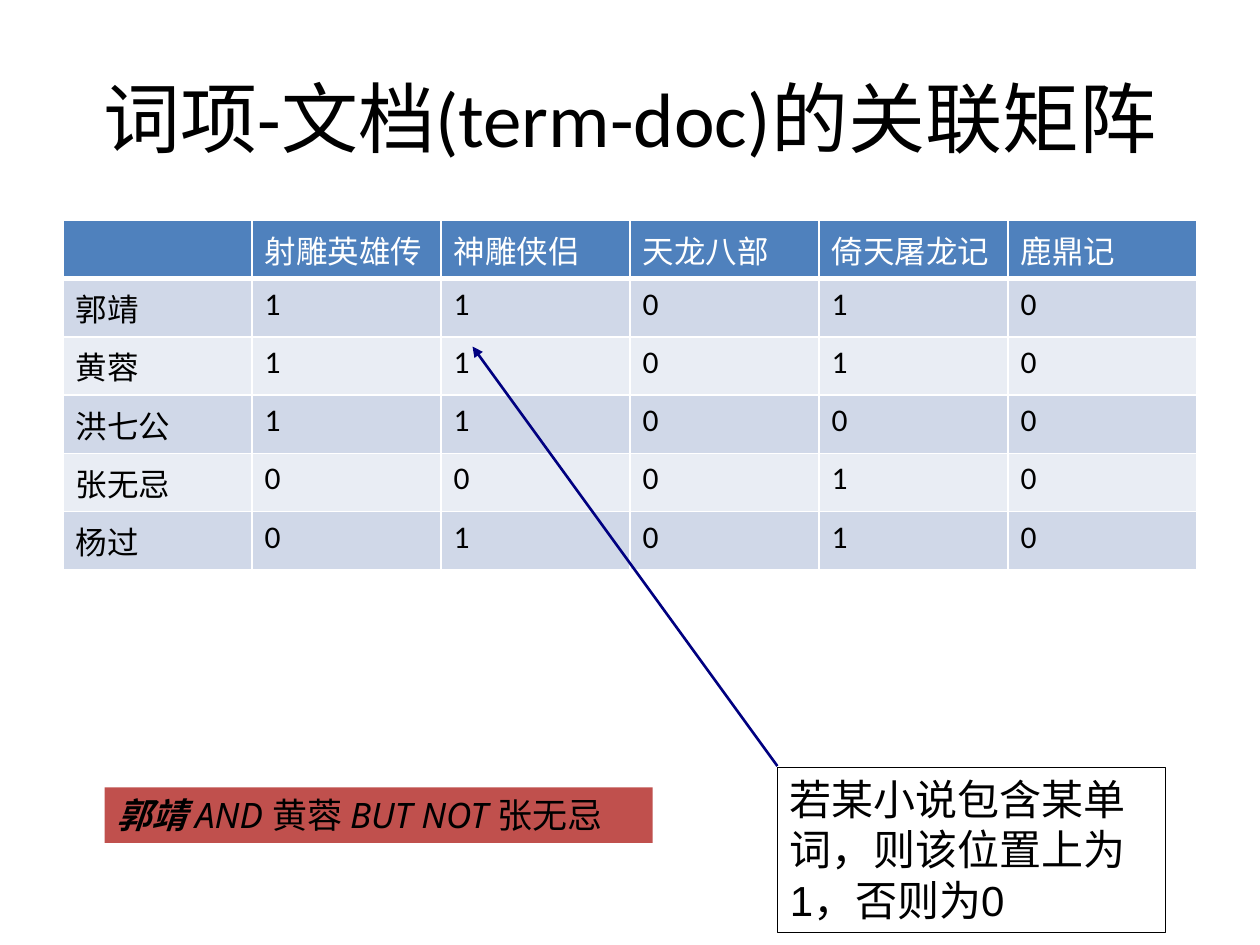
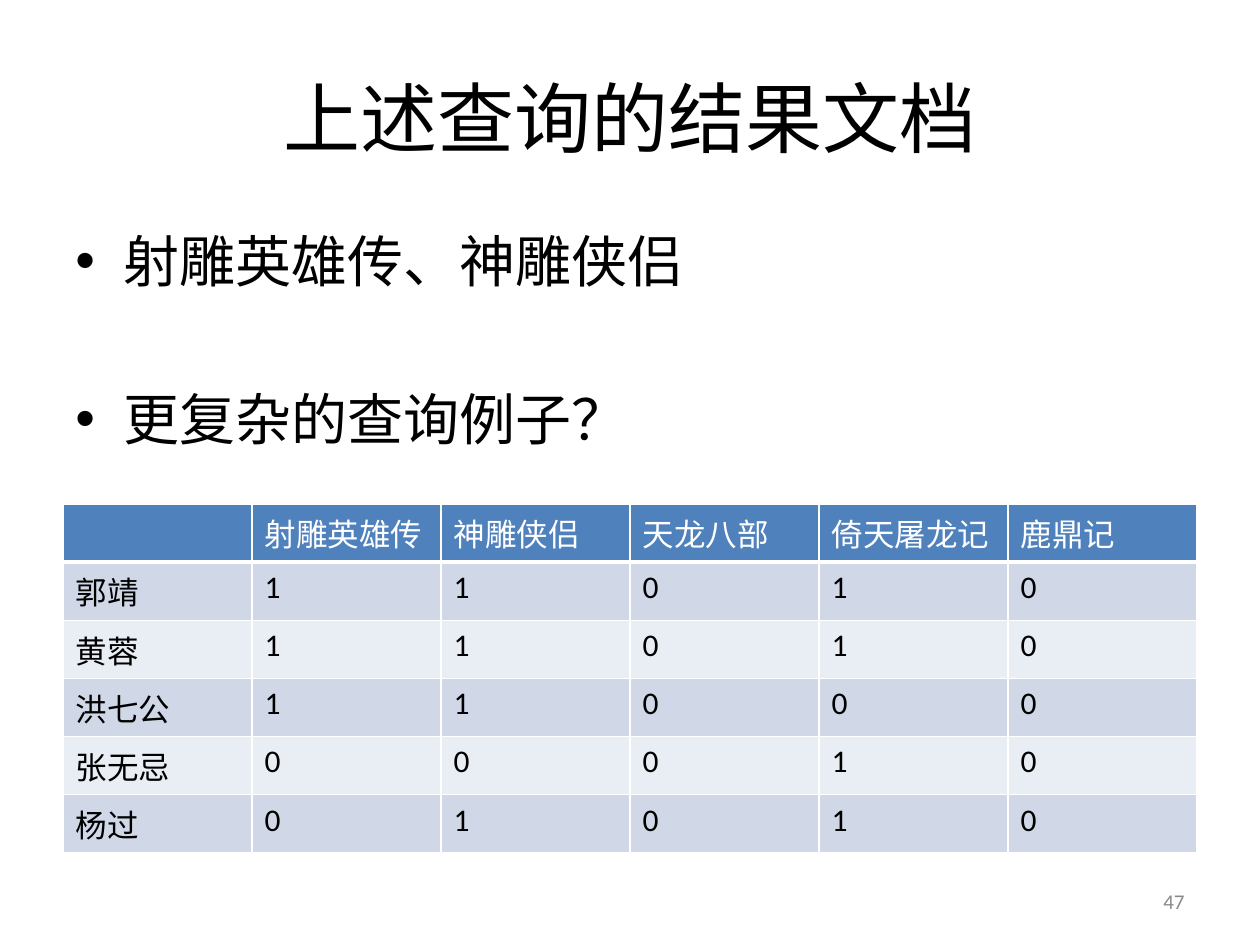
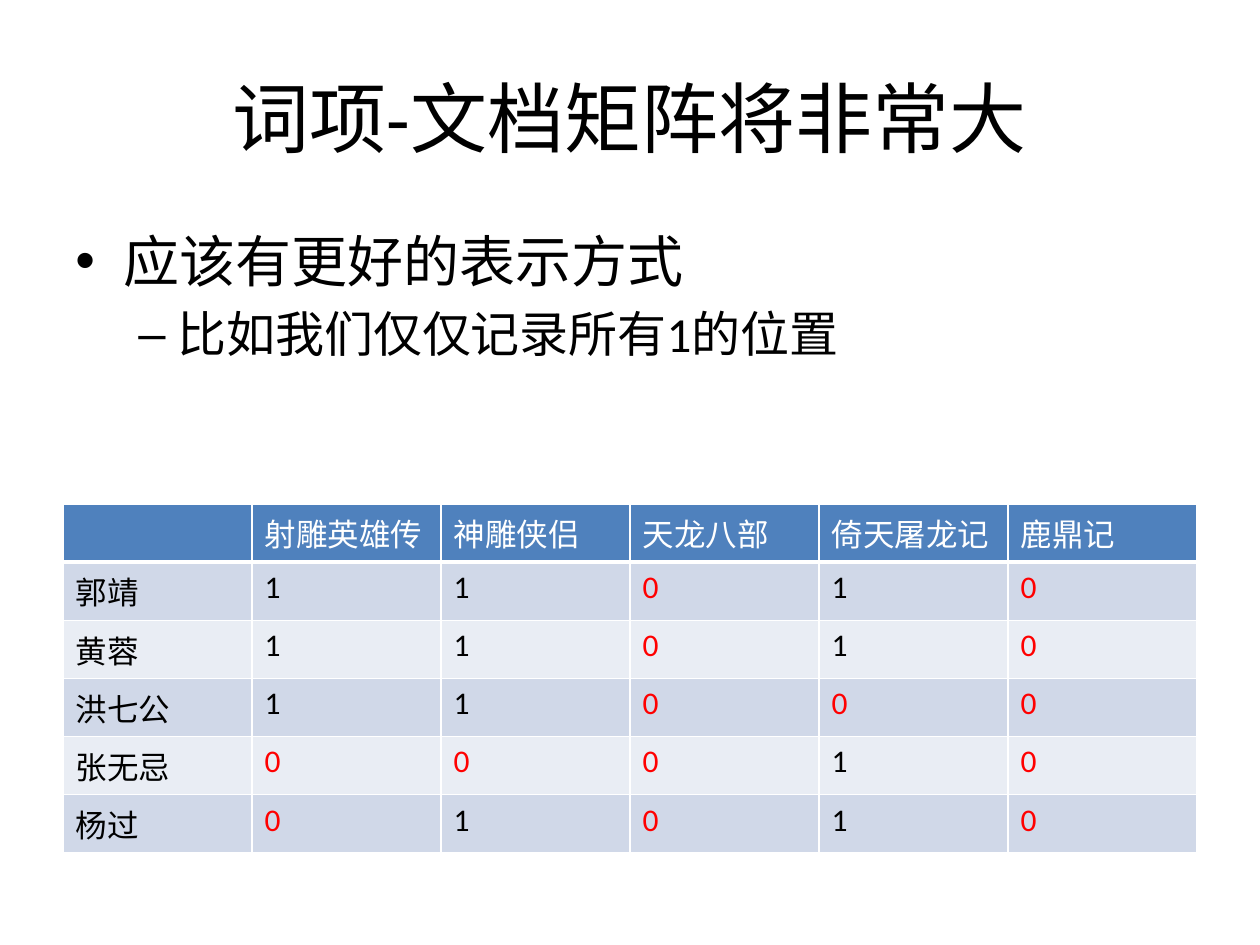
from lxml import etree
from pptx import Presentation
from pptx.dml.color import RGBColor
from pptx.enum.shapes import MSO_CONNECTOR, MSO_SHAPE
from pptx.enum.text import MSO_ANCHOR, MSO_AUTO_SIZE, PP_ALIGN
from pptx.oxml.ns import qn
from pptx.util import Inches, Pt

BLACK = "000000"
WHITE = "FFFFFF"
RED = "FF0000"
GREY = "898989"
NAVY = "000080"
HEADER_BLUE = "4F81BD"
BANDS = ("D0D8E8", "E9EDF4")
QUERY_RED = "C0504D"

NOVELS = ["射雕英雄传", "神雕侠侣", "天龙八部", "倚天屠龙记", "鹿鼎记"]
INCIDENCE = {
    "郭靖": "11010",
    "黄蓉": "11010",
    "洪七公": "11000",
    "张无忌": "00010",
    "杨过": "01010",
}

# Bullet, left margin in inches, hanging indent in inches, size in points
BULLET_LEVELS = [("•", 0.38, 0.38, 32), ("–", 0.81, 0.31, 28)]


def rgb(color):
    return RGBColor.from_string(color)


def set_font(font, size, color=BLACK, name="Calibri"):
    font.size = Pt(size)
    font.name = name
    font.color.rgb = rgb(color)


def add_titled_slide(presentation, text):
    slide = presentation.slides.add_slide(presentation.slide_layouts[5])
    title = slide.shapes.title
    title.left, title.top = Inches(0.5), Inches(0.3)
    title.width, title.height = Inches(9), Inches(1.25)
    frame = title.text_frame
    frame.text = text
    frame.word_wrap = True
    frame.auto_size = MSO_AUTO_SIZE.NONE
    frame.vertical_anchor = MSO_ANCHOR.MIDDLE
    paragraph = frame.paragraphs[0]
    paragraph.alignment = PP_ALIGN.CENTER
    set_font(paragraph.font, 44)
    return slide


def set_borders(cell, bottom_width):
    """Draw white borders of 1 point, with a bottom border of its own width."""
    properties = cell._tc.get_or_add_tcPr()
    for side in ("lnL", "lnR", "lnT", "lnB"):
        width = bottom_width if side == "lnB" else 1
        line = etree.SubElement(properties, qn(f"a:{side}"), w=str(Pt(width)))
        fill = etree.SubElement(line, qn("a:solidFill"))
        etree.SubElement(fill, qn("a:srgbClr"), val=WHITE)


def fill_cell(cell, text, fill, color, bottom_width=1):
    set_borders(cell, bottom_width)
    cell.fill.solid()
    cell.fill.fore_color.rgb = rgb(fill)
    cell.text = text
    set_font(cell.text_frame.paragraphs[0].font, 18, color)


def add_incidence_table(slide, top, height, zero_color=BLACK):
    table = slide.shapes.add_table(
        len(INCIDENCE) + 1, len(NOVELS) + 1,
        Inches(0.5), Inches(top), Inches(9), Inches(height)).table
    for column, novel in enumerate(["", *NOVELS]):
        fill_cell(table.cell(0, column), novel, HEADER_BLUE, WHITE, bottom_width=3)
    for row, (person, flags) in enumerate(INCIDENCE.items(), start=1):
        for column, text in enumerate([person, *flags]):
            color = zero_color if text == "0" else BLACK
            fill_cell(table.cell(row, column), text, BANDS[(row - 1) % 2], color)


def add_bullets(slide, items):
    """Add (text, level, space before in points) items as a bulleted list."""
    box = slide.shapes.add_textbox(Inches(0.5), Inches(1.75), Inches(9), Inches(2.2))
    frame = box.text_frame
    frame.word_wrap = True
    for index, (text, level, space_before) in enumerate(items):
        paragraph = frame.paragraphs[0] if index == 0 else frame.add_paragraph()
        paragraph.text = text
        paragraph.level = level
        paragraph.space_before = Pt(space_before)
        bullet, margin, hanging, size = BULLET_LEVELS[level]
        properties = paragraph._p.get_or_add_pPr()
        properties.set("marL", str(Inches(margin)))
        properties.set("indent", str(-Inches(hanging)))
        etree.SubElement(properties, qn("a:buFont"), typeface="Arial")
        etree.SubElement(properties, qn("a:buChar"), char=bullet)
        set_font(paragraph.font, size)


def add_rectangle(slide, left, top, width, height):
    """Add a rectangle without shadow, and with its text at the top left."""
    shape = slide.shapes.add_shape(
        MSO_SHAPE.RECTANGLE, Inches(left), Inches(top), Inches(width), Inches(height))
    shape.shadow.inherit = False
    shape.text_frame.vertical_anchor = MSO_ANCHOR.TOP
    shape.text_frame.paragraphs[0].alignment = PP_ALIGN.LEFT
    return shape


def add_callout(slide, text):
    shape = add_rectangle(slide, 6.17, 6.09, 3.08, 1.31)
    shape.fill.background()
    shape.line.color.rgb = rgb(BLACK)
    shape.line.width = Pt(0.75)
    shape.text_frame.word_wrap = True
    paragraph = shape.text_frame.paragraphs[0]
    paragraph.add_run().text = text
    set_font(paragraph.font, 24, name="Arial")
    set_font(paragraph.runs[0].font, 24, name="Arial")


def add_query(slide, parts):
    """Add the query bar from (text, bold, italic) parts."""
    shape = add_rectangle(slide, 0.83, 6.25, 4.35, 0.44)
    shape.fill.solid()
    shape.fill.fore_color.rgb = rgb(QUERY_RED)
    shape.line.fill.background()
    shape.text_frame.word_wrap = False
    for text, bold, italic in parts:
        run = shape.text_frame.paragraphs[0].add_run()
        run.text = text
        set_font(run.font, 20, name="Noto Sans")
        run.font.bold = bold
        run.font.italic = italic


def add_arrow(slide, start, end):
    arrow = slide.shapes.add_connector(
        MSO_CONNECTOR.STRAIGHT, *map(Inches, start), *map(Inches, end))
    arrow.line.color.rgb = rgb(NAVY)
    arrow.line.width = Pt(1.5)
    etree.SubElement(arrow.line._get_or_add_ln(), qn("a:tailEnd"), type="triangle")
    etree.SubElement(arrow._element.spPr, qn("a:effectLst"))


def add_page_number(slide, number):
    box = slide.shapes.add_textbox(Inches(7.17), Inches(6.95), Inches(2.33), Inches(0.4))
    frame = box.text_frame
    frame.word_wrap = True
    frame.vertical_anchor = MSO_ANCHOR.MIDDLE
    paragraph = frame.paragraphs[0]
    paragraph.text = str(number)
    paragraph.alignment = PP_ALIGN.RIGHT
    set_font(paragraph.font, 12, GREY)


def main():
    presentation = Presentation()
    presentation.slide_width = Inches(10)
    presentation.slide_height = Inches(7.5)

    slide = add_titled_slide(presentation, "词项-文档(term-doc)的关联矩阵")
    add_callout(slide, "若某小说包含某单词，则该位置上为1，否则为0")
    add_query(slide, [
        ("郭靖 ", True, True),
        ("AND ", False, True),
        ("黄蓉 ", False, False),
        ("BUT NOT ", False, True),
        ("张无忌", False, False),
    ])
    add_incidence_table(slide, top=1.75, height=2.43)
    add_arrow(slide, (6.17, 6.08), (3.75, 2.75))

    slide = add_titled_slide(presentation, "上述查询的结果文档")
    add_bullets(slide, [("射雕英雄传、神雕侠侣", 0, 0), ("更复杂的查询例子？", 0, 51.5)])
    add_page_number(slide, 47)
    add_incidence_table(slide, top=4, height=2.77)

    slide = add_titled_slide(presentation, "词项-文档矩阵将非常大")
    add_bullets(slide, [("应该有更好的表示方式", 0, 0), ("比如我们仅仅记录所有1的位置", 1, 5.6)])
    add_incidence_table(slide, top=4, height=2.77, zero_color=RED)

    presentation.save("out.pptx")


if __name__ == "__main__":
    main()
